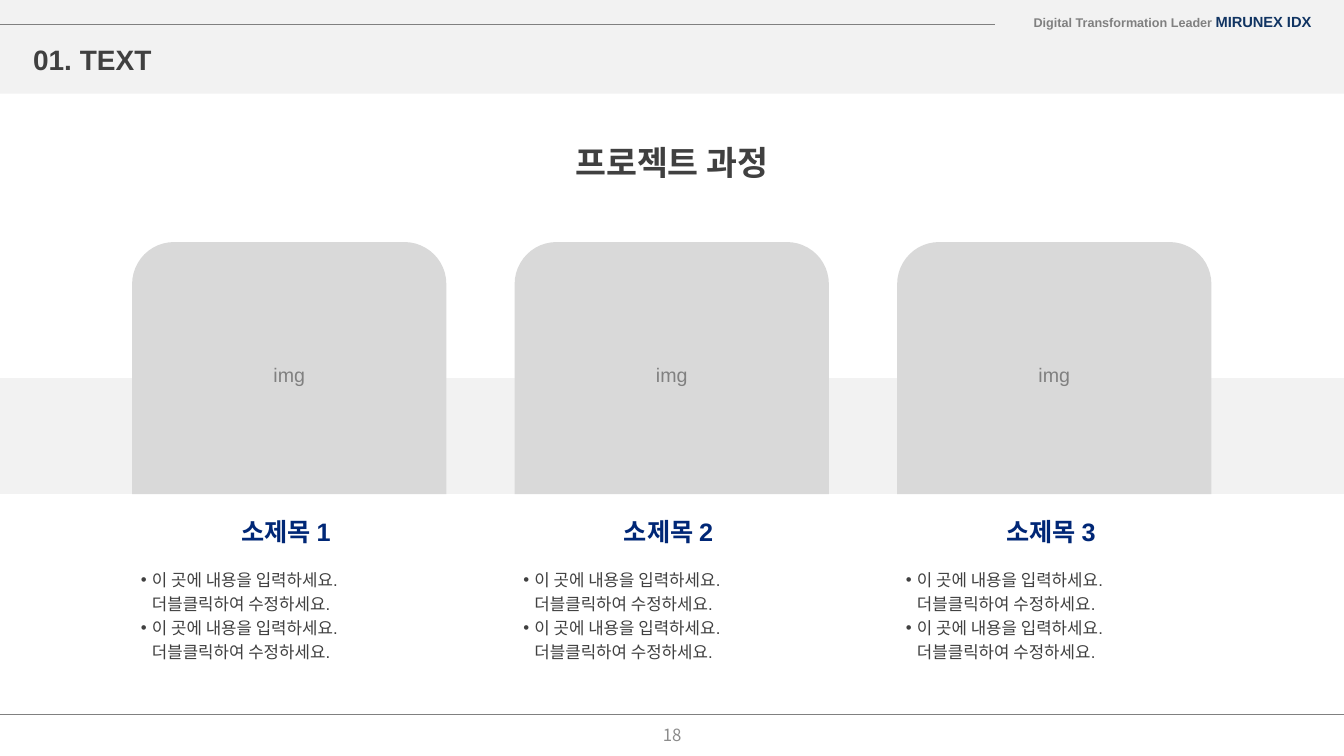
from lxml.etree import SubElement
from pptx import Presentation
from pptx.dml.color import RGBColor
from pptx.enum.shapes import MSO_CONNECTOR, MSO_SHAPE
from pptx.enum.text import MSO_ANCHOR, MSO_AUTO_SIZE, PP_ALIGN
from pptx.oxml.ns import qn
from pptx.util import Cm, Pt

DARK = RGBColor(0x40, 0x40, 0x40)
GRAY = RGBColor(0x80, 0x80, 0x80)
PAGE_GRAY = RGBColor(0x8C, 0x8C, 0x8C)
NAVY = RGBColor(0x11, 0x34, 0x62)
BLUE = RGBColor(0x00, 0x27, 0x76)
BAND = RGBColor(0xF2, 0xF2, 0xF2)
IMAGE = RGBColor(0xD9, 0xD9, 0xD9)

WIDTH, HEIGHT = 33.87, 19.05
CARD_LEFT, CARD_PITCH, CARD_WIDTH = 3.33, 9.64, 7.92
BULLET = "이 곳에 내용을 입력하세요. 더블클릭하여 수정하세요."


def add_run(p, text, size=12, color=DARK, bold=False, font="Arial"):
    r = p.add_run()
    r.text = text
    r.font.name, r.font.size, r.font.bold = font, Pt(size), bold
    r.font.color.rgb = color
    return r


def add_bullet(p, indent=0.28):
    pPr = p._p.get_or_add_pPr()
    pPr.set("marL", str(Cm(indent)))
    pPr.set("indent", str(-Cm(indent)))
    SubElement(pPr, qn("a:buFont")).set("typeface", "Arial")
    SubElement(pPr, qn("a:buChar")).set("char", "•")


class SlideBuilder:
    def __init__(self, prs):
        self.s = prs.slides.add_slide(prs.slide_layouts[5])
        self.shapes = self.s.shapes

    def start_group(self):
        self.shapes = self.s.shapes.add_group_shape().shapes

    def end_group(self):
        self.shapes = self.s.shapes

    def shape(self, kind, x, y, w, h, fill):
        sp = self.shapes.add_shape(kind, Cm(x), Cm(y), Cm(w), Cm(h))
        sp.shadow.inherit = False
        sp.fill.solid()
        sp.fill.fore_color.rgb = fill
        sp.line.fill.background()
        return sp

    def line(self, y, length):
        cxn = self.shapes.add_connector(
            MSO_CONNECTOR.STRAIGHT, Cm(length), Cm(y), Cm(0), Cm(y))
        cxn.line.color.rgb = GRAY
        cxn.line.width = Pt(0.5)
        SubElement(cxn._element.spPr, qn("a:effectLst"))

    def text(self, x, y, w, h, text="", align=PP_ALIGN.CENTER, **style):
        sp = self.shapes.add_textbox(Cm(x), Cm(y), Cm(w), Cm(h))
        return self.fill_text(sp, text, align, **style)

    def fill_text(self, sp, text, align=PP_ALIGN.CENTER, **style):
        tf = sp.text_frame
        tf.word_wrap = True
        tf.vertical_anchor = MSO_ANCHOR.MIDDLE
        p = tf.paragraphs[0]
        p.alignment = align
        if text:
            add_run(p, text, **style)
        return tf

    def title(self, x, y, w, h, text):
        sp = self.s.shapes.title
        sp.left, sp.top, sp.width, sp.height = Cm(x), Cm(y), Cm(w), Cm(h)
        tf = self.fill_text(sp, text, PP_ALIGN.LEFT, size=20, bold=True)
        tf.auto_size = MSO_AUTO_SIZE.NONE
        # Bring the title in front of the header band
        sp._element.getparent().append(sp._element)

    def bullets(self, x, y, w, h, items):
        tf = self.text(x, y, w, h, align=PP_ALIGN.LEFT)
        tf.vertical_anchor = MSO_ANCHOR.TOP
        tf.auto_size = MSO_AUTO_SIZE.SHAPE_TO_FIT_TEXT
        tf.margin_right = Cm(0.6)
        for i, item in enumerate(items):
            p = tf.add_paragraph() if i else tf.paragraphs[0]
            p.line_spacing = 1.2
            add_bullet(p)
            add_run(p, item)

    def card(self, x, heading):
        self.start_group()
        image = self.shape(MSO_SHAPE.ROUND_2_SAME_RECTANGLE,
                           x, 6.1, CARD_WIDTH, 6.35, IMAGE)
        self.fill_text(image, "img", size=14, color=GRAY)
        self.text(x + 0.41, 12.85, 7.11, 1.07, heading,
                  size=18, color=BLUE, bold=True)
        self.bullets(x - 0.03, 14.12, 8, 2.72, [BULLET] * 2)
        self.end_group()


def main():
    prs = Presentation()
    prs.slide_width, prs.slide_height = Cm(WIDTH), Cm(HEIGHT)
    b = SlideBuilder(prs)

    # Background bands
    b.shape(MSO_SHAPE.RECTANGLE, 0, 9.53, WIDTH, 2.92, BAND)
    b.shape(MSO_SHAPE.RECTANGLE, 0, 0, WIDTH, 2.36, BAND)

    # Header
    tf = b.text(25.32, 0.25, 7.98, 0.71, "Digital Transformation Leader ",
                PP_ALIGN.RIGHT, size=9, color=GRAY, bold=True)
    p = tf.paragraphs[0]
    p.line_spacing = 0.7
    add_run(p, "MIRUNEX IDX", size=10.5, color=NAVY, bold=True)
    b.title(0.58, 0.97, 13.18, 1.07, "01. TEXT")
    b.line(0.61, 25.07)

    # Main heading
    b.text(10.34, 3.56, 13.18, 1.07, "프로젝트 과정", size=24, bold=True)

    # Project cards
    for i in range(3):
        b.card(CARD_LEFT + i * CARD_PITCH, f"소제목 {i + 1} ")

    # Footer
    b.line(18.01, WIDTH)
    b.text(13.13, 18.01, 7.62, 1.02, "18",
           color=PAGE_GRAY, font="Noto Sans CJK KR")

    prs.save("out.pptx")


if __name__ == "__main__":
    main()
